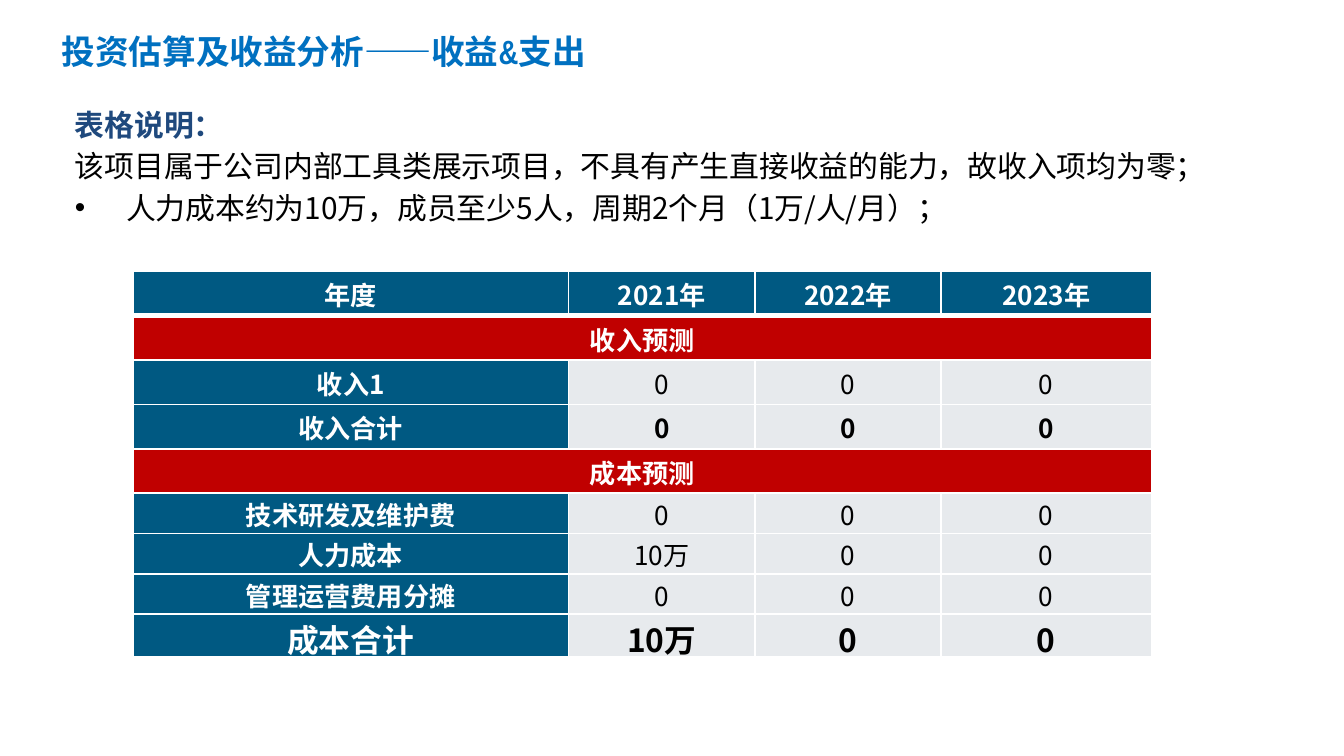
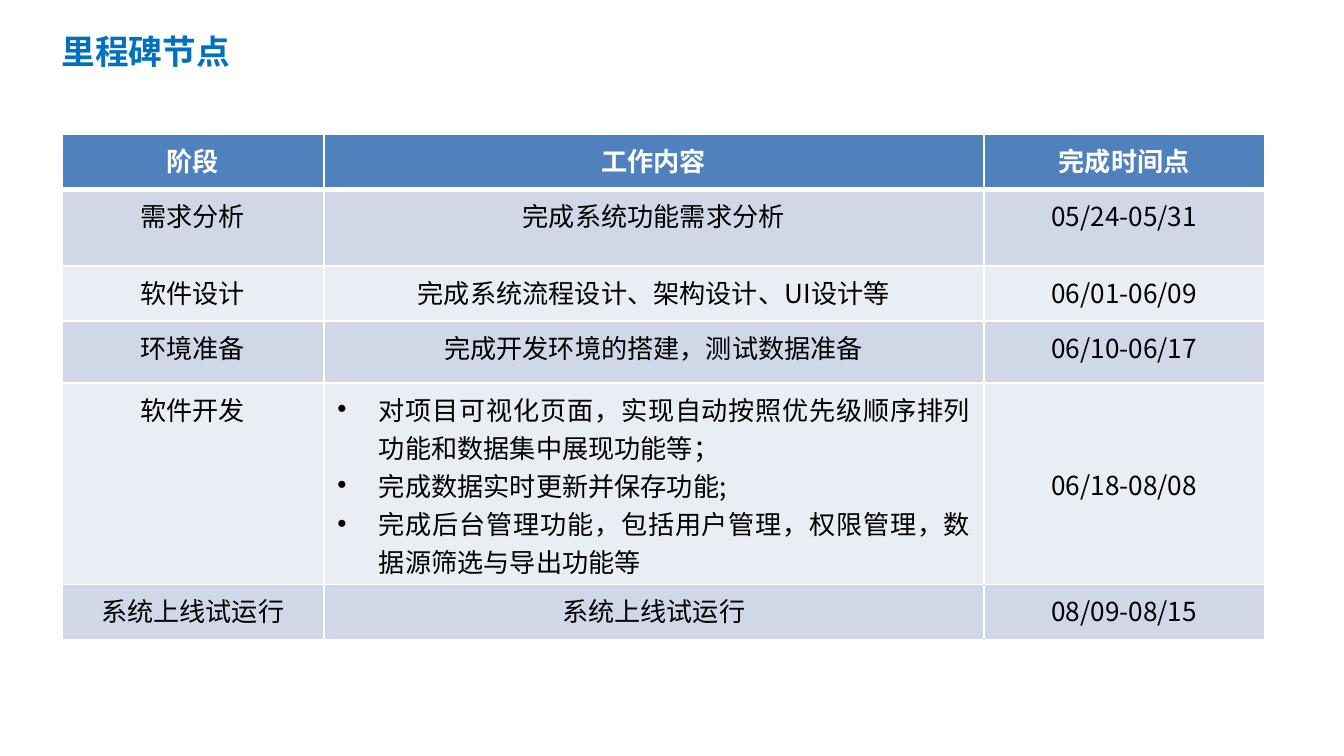
import dataclasses
import typing

import lxml.etree
import pptx
import pptx.dml.color
import pptx.enum.text
import pptx.oxml.ns
import pptx.util

Inches = pptx.util.Inches
Pt = pptx.util.Pt
Align = pptx.enum.text.PP_ALIGN
Anchor = pptx.enum.text.MSO_ANCHOR

# Shared look
CJK_FONT = "Noto Sans CJK SC"
LABEL_FONT = "Calibri"
TITLE_FONT = "Arial Narrow"
WHITE, BLACK = "FFFFFF", "000000"
TITLE_BLUE, NAVY = "0070C0", "1F497D"
TEAL, RED, PALE_GREY = "005982", "C00000", "E7EAED"
HEADER_BLUE, BAND_DARK, BAND_LIGHT = "4F81BD", "D0D8E8", "E9EDF4"

LEFT = 0.46
TIGHT_CELL = {
    "margin_left": Inches(0.01),
    "margin_top": Inches(0.01),
    "margin_right": Inches(0.01),
    "margin_bottom": Inches(0),
    "vertical_anchor": Anchor.MIDDLE,
}
NO_MARGINS = {
    "margin_left": 0,
    "margin_top": 0,
    "margin_right": 0,
    "margin_bottom": 0,
    "vertical_anchor": Anchor.MIDDLE,
}


@dataclasses.dataclass(frozen=True)
class Style:
    size: float = 14
    color: str = BLACK
    bold: bool = False
    font: str = CJK_FONT


@dataclasses.dataclass(frozen=True)
class Line:
    text: str
    style: Style = Style()
    align: typing.Any = Align.CENTER
    indent: float = 0
    bullet: bool = False
    spacing: typing.Any = None


@dataclasses.dataclass(frozen=True)
class Cell:
    lines: tuple[Line, ...]
    fill: str
    span: int = 1
    formats: dict[str, typing.Any] = dataclasses.field(default_factory=dict)


@dataclasses.dataclass(frozen=True)
class ForecastRow:
    label: str
    values: tuple[str, ...] = ()
    label_font: str = CJK_FONT
    size: float = 14
    total: bool = False


@dataclasses.dataclass(frozen=True)
class Milestone:
    stage: str
    tasks: tuple[str, ...]
    dates: str


def rgb(color: str) -> pptx.dml.color.RGBColor:
    return pptx.dml.color.RGBColor.from_string(color)


def apply_formats(target: typing.Any, formats: dict[str, typing.Any]) -> None:
    for name, value in formats.items():
        setattr(target, name, value)


def add_element(parent: typing.Any, tag: str, **attributes: str) -> typing.Any:
    return lxml.etree.SubElement(parent, pptx.oxml.ns.qn(tag), **attributes)


def write_lines(frame: typing.Any, lines: tuple[Line, ...]) -> None:
    for index, line in enumerate(lines):
        paragraph = frame.paragraphs[0] if index == 0 else frame.add_paragraph()
        apply_formats(paragraph, {"alignment": line.align, "line_spacing": line.spacing})
        properties = paragraph._p.get_or_add_pPr()
        if line.indent:
            properties.set("marL", str(Inches(line.indent)))
            properties.set("indent", str(-Inches(line.indent)))
        if line.bullet:
            add_element(properties, "a:buFont", typeface="Arial")
            add_element(properties, "a:buChar", char="•")
        run = paragraph.add_run()
        run.text = line.text
        style = line.style
        apply_formats(run.font, {"size": Pt(style.size), "bold": style.bold, "name": style.font})
        run.font.color.rgb = rgb(style.color)
        add_element(run._r.get_or_add_rPr(), "a:ea", typeface=CJK_FONT)


def add_text(slide: typing.Any, box: tuple[float, ...], lines: tuple[Line, ...],
             formats: dict[str, typing.Any]) -> None:
    frame = slide.shapes.add_textbox(*map(Inches, box)).text_frame
    apply_formats(frame, {"word_wrap": True, **formats})
    write_lines(frame, lines)


def add_titled_slide(deck: typing.Any, title: str) -> typing.Any:
    slide = deck.slides.add_slide(deck.slide_layouts[6])
    heading = Line(title, Style(18, TITLE_BLUE, True, TITLE_FONT), Align.LEFT)
    add_text(slide, (LEFT, 0.23, 4.54, 0.3), (heading,), NO_MARGINS)
    return slide


def draw_borders(table_cell: typing.Any, row: int) -> None:
    """White grid, with a thick rule under the header row."""
    widths = {"L": 1, "R": 1, "T": 3 if row == 1 else 1, "B": 3 if row == 0 else 1}
    properties = table_cell._tc.get_or_add_tcPr()
    for side, width in widths.items():
        border = add_element(properties, f"a:ln{side}", w=str(Pt(width)))
        add_element(add_element(border, "a:solidFill"), "a:srgbClr", val=WHITE)


def add_grid(slide: typing.Any, left: float, top: float, widths: list[float],
             heights: list[float], rows: list[list[Cell]]) -> None:
    table = slide.shapes.add_table(
        len(heights), len(widths), Inches(left), Inches(top),
        Inches(sum(widths)), Inches(sum(heights))).table
    table.horz_banding = False
    for column, width in zip(table.columns, widths):
        column.width = Inches(width)
    for index, (cells, height) in enumerate(zip(rows, heights)):
        table.rows[index].height = Inches(height)
        for position in range(len(widths)):
            draw_borders(table.cell(index, position), index)
        for position, cell in enumerate(cells):
            target = table.cell(index, position)
            if cell.span > 1:
                target.merge(table.cell(index, position + cell.span - 1))
            apply_formats(target, cell.formats)
            target.fill.solid()
            target.fill.fore_color.rgb = rgb(cell.fill)
            write_lines(target.text_frame, cell.lines)


# Slide 1: income and spending
def forecast_cells(row: ForecastRow, columns: int) -> list[Cell]:
    label = Line(row.label, Style(row.size, WHITE, True, row.label_font))
    if not row.values:
        return [Cell((label,), RED, columns, TIGHT_CELL)]
    value_style = Style(row.size, BLACK, row.total)
    return [Cell((label,), TEAL, formats=TIGHT_CELL)] + [
        Cell((Line(value, value_style),), PALE_GREY, formats=TIGHT_CELL)
        for value in row.values]


def build_forecast(deck: typing.Any) -> None:
    slide = add_titled_slide(deck, "投资估算及收益分析——收益&支出")
    note = {"align": Align.LEFT, "spacing": Pt(22.2)}
    body = Style(16)
    add_text(slide, (LEFT, 0.7, 8.83, 1.12), (
        Line("表格说明：", Style(16, NAVY, True), **note),
        Line("该项目属于公司内部工具类展示项目，不具有产生直接收益的能力，故收入项均为零；",
             body, indent=0.38, **note),
        Line("人力成本约为10万，成员至少5人，周期2个月（1万/人/月）；",
             body, indent=0.38, bullet=True, **note),
    ), {})

    widths = [3.24, 1.39, 1.38, 1.57]
    zeros = ("0", "0", "0")
    labor = ("10万", "0", "0")
    header_style = Style(14, WHITE, True)
    header = [Cell((Line(text, header_style),), TEAL, formats=TIGHT_CELL)
              for text in ("年度", "2021年", "2022年", "2023年")]
    forecast = [
        ForecastRow("收入预测"),
        ForecastRow("收入1", zeros),
        ForecastRow("收入合计", zeros, total=True),
        ForecastRow("成本预测", label_font=LABEL_FONT),
        ForecastRow("技术研发及维护费", zeros, LABEL_FONT),
        ForecastRow("人力成本", labor, LABEL_FONT),
        ForecastRow("管理运营费用分摊", zeros, LABEL_FONT),
        ForecastRow("成本合计", labor, LABEL_FONT, 17, True),
    ]
    heights = [0.33] * 5 + [0.3] * 3 + [0.32]
    add_grid(slide, 0.99, 2.02, widths, heights,
             [header] + [forecast_cells(row, len(widths)) for row in forecast])


# Slide 2: milestones
def milestone_cells(milestone: Milestone, fill: str) -> list[Cell]:
    listed = len(milestone.tasks) > 1
    if listed:
        tasks = tuple(Line(task, align=Align.JUSTIFY, indent=0.31, bullet=True)
                      for task in milestone.tasks)
    else:
        tasks = (Line(milestone.tasks[0]),)
    date_formats = {"vertical_anchor": Anchor.MIDDLE} if listed else {}
    return [Cell((Line(milestone.stage),), fill), Cell(tasks, fill),
            Cell((Line(milestone.dates),), fill, formats=date_formats)]


def build_milestones(deck: typing.Any) -> None:
    slide = add_titled_slide(deck, "里程碑节点")
    header = [Cell((Line(text, Style(14, WHITE, True)),), HEADER_BLUE)
              for text in ("阶段", "工作内容", "完成时间点")]
    milestones = [
        Milestone("需求分析", ("完成系统功能需求分析",), "05/24-05/31"),
        Milestone("软件设计", ("完成系统流程设计、架构设计、UI设计等",), "06/01-06/09"),
        Milestone("环境准备", ("完成开发环境的搭建，测试数据准备",), "06/10-06/17"),
        Milestone("软件开发", (
            "对项目可视化页面，实现自动按照优先级顺序排列功能和数据集中展现功能等；",
            "完成数据实时更新并保存功能;",
            "完成后台管理功能，包括用户管理，权限管理，数据源筛选与导出功能等",
        ), "06/18-08/08"),
        Milestone("系统上线试运行", ("系统上线试运行",), "08/09-08/15"),
    ]
    bands = (BAND_DARK, BAND_LIGHT)
    rows = [milestone_cells(milestone, bands[index % 2])
            for index, milestone in enumerate(milestones)]
    add_grid(slide, LEFT, 1, [1.95, 4.91, 2.09],
             [0.41, 0.57, 0.41, 0.46, 1.5, 0.41], [header] + rows)


def main() -> None:
    deck = pptx.Presentation()
    # Widescreen, 16:9
    deck.slide_width = Inches(10)
    deck.slide_height = Inches(10) * 9 // 16
    build_forecast(deck)
    build_milestones(deck)
    deck.save("out.pptx")


if __name__ == "__main__":
    main()
